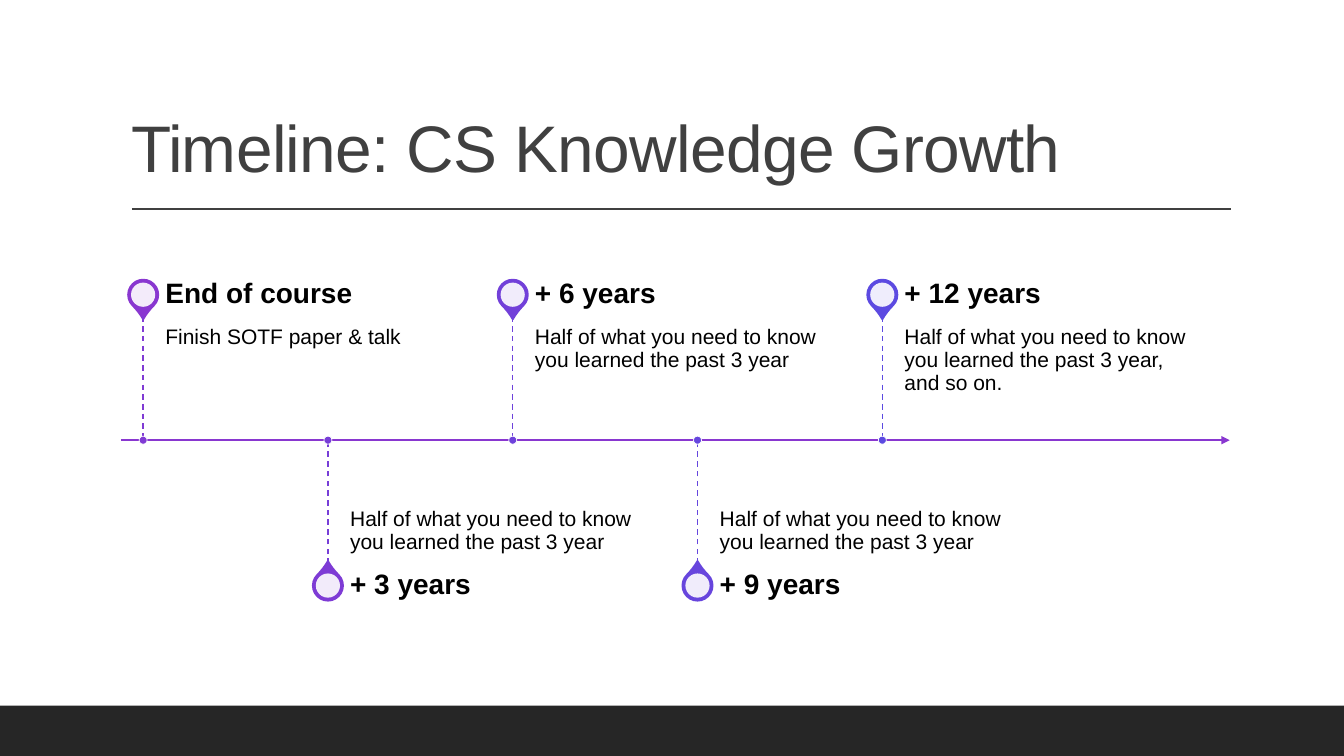
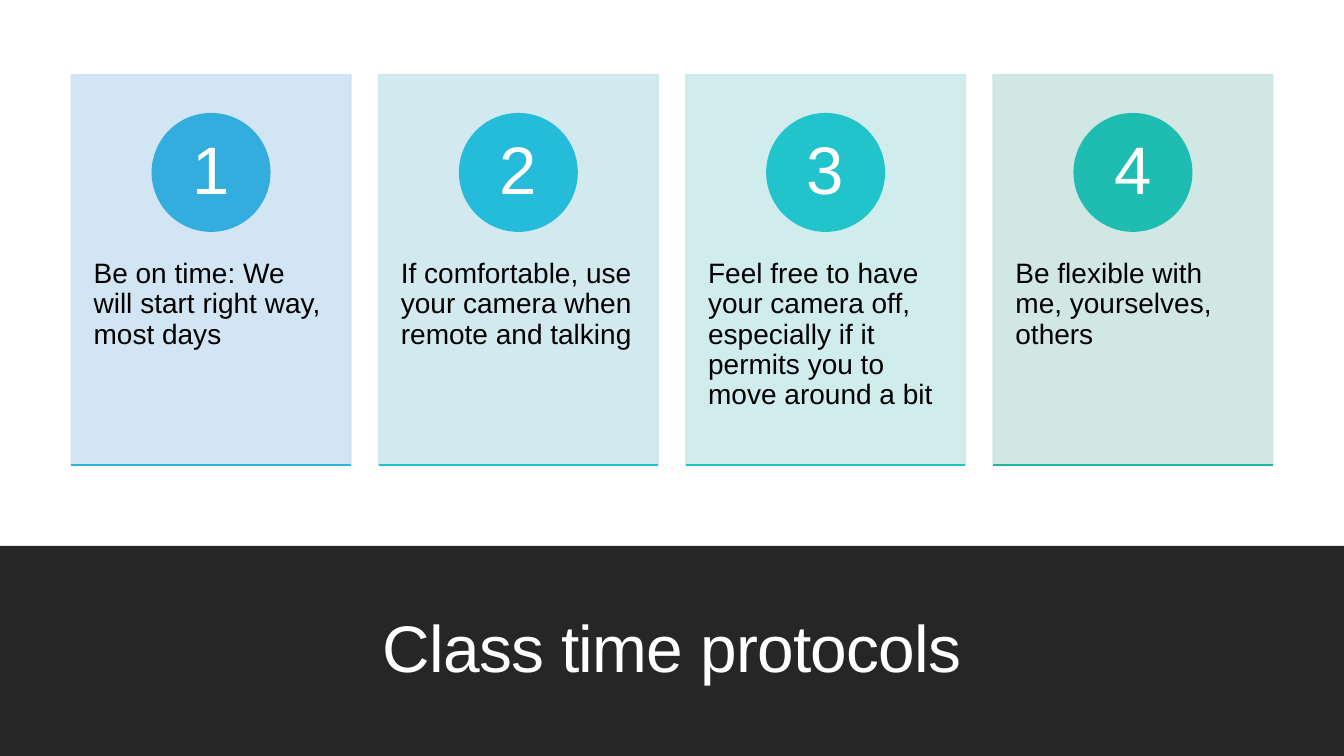
import dataclasses

import pptx
import pptx.dml.color
import pptx.enum.dml
import pptx.enum.shapes
import pptx.enum.text
import pptx.oxml.ns
import pptx.util

SHAPE = pptx.enum.shapes.MSO_SHAPE
ANCHOR = pptx.enum.text.MSO_ANCHOR
ALIGN = pptx.enum.text.PP_ALIGN
FONT = "Arial"
COLUMNS, ROWS = 160, 90
CELL = pptx.util.Inches(7.5) / ROWS
COLORS = {
    "paper": "FFFFFF",
    "ink": "000000",
    "title": "404040",
    "band": "262626",
    "axis": "8937D0",
}
# Heading, text, pin colour, stem colour
STOPS = [
    ("End of course", "Finish SOTF paper & talk", "8937D0", "803BD4"),
    ("+ 3 years", "Half of what you need to know you learned the past 3 year",
     "7E3BD5", "773ED7"),
    ("+ 6 years", "Half of what you need to know you learned the past 3 year",
     "7240D9", "6E42DB"),
    ("+ 9 years", "Half of what you need to know you learned the past 3 year",
     "6745DD", "6546DE"),
    ("+ 12 years",
     "Half of what you need to know you learned the past 3 year, and so on.",
     "5C4AE1", "5C4AE1"),
]
# Text, card colour, circle colour, base line colour
PROTOCOLS = [
    ("Be on time: We will start right way, most days",
     "CEE3F2", "33ADDD", "2CB4DC"),
    ("If comfortable, use your camera when remote and talking",
     "CDE7EE", "24BCDA", "23C0D3"),
    ("Feel free to have your camera off, especially if it permits you to "
     "move around a bit", "CCEAEA", "22C4CB", "21C4C2"),
    ("Be flexible with me, yourselves, others",
     "CCE5E0", "1FBCB1", "1EB5A1"),
]


@dataclasses.dataclass
class Box:
    """A rectangle measured in grid columns and rows."""
    left: float
    top: float
    width: float
    height: float

    def point(self, across, down):
        return self.left + across * self.width, self.top + down * self.height

    def area(self, across, down, width, height):
        return Box(*self.point(across, down),
                   width * self.width, height * self.height)

    def emu(self):
        return [round(side * CELL) for side in
                (self.left, self.top, self.width, self.height)]


def centred(point, size):
    x, y = point
    return Box(x - size / 2, y - size / 2, size, size)


def rgb(color):
    return pptx.dml.color.RGBColor.from_string(color)


def append_tag(parent, tag, **attributes):
    parent.append(parent.makeelement(pptx.oxml.ns.qn(tag), attributes))


def set_opacity(properties, percent):
    for color in properties.iter(pptx.oxml.ns.qn("a:srgbClr")):
        append_tag(color, "a:alpha", val=str(percent * 1000))


def add_shape(slide, kind, box, fill, line=None, weight=1.25, opacity=100):
    shape = slide.shapes.add_shape(kind, *box.emu())
    shape.shadow.inherit = False
    shape.fill.solid()
    shape.fill.fore_color.rgb = rgb(fill)
    if line:
        shape.line.color.rgb = rgb(line)
        shape.line.width = pptx.util.Pt(weight)
    else:
        shape.line.fill.background()
    if opacity < 100:
        set_opacity(shape.element.spPr, opacity)
    return shape


def add_line(slide, start, end, color, weight, dashed=False, arrow=False):
    ends = [round(value * CELL) for value in (*start, *end)]
    line = slide.shapes.add_connector(
        pptx.enum.shapes.MSO_CONNECTOR.STRAIGHT, *ends)
    line.line.color.rgb = rgb(color)
    line.line.width = pptx.util.Pt(weight)
    if dashed:
        line.line.dash_style = pptx.enum.dml.MSO_LINE.DASH
    properties = line.element.spPr
    if arrow:
        outline = properties.find(pptx.oxml.ns.qn("a:ln"))
        append_tag(outline, "a:tailEnd", type="triangle")
    append_tag(properties, "a:effectLst")


def write(shape, text, size, color=COLORS["ink"], bold=False, align=ALIGN.LEFT,
          anchor=ANCHOR.TOP, insets=(0, 0, 0, 0)):
    """Put one paragraph in a shape; insets are in inches, from the left."""
    frame = shape.text_frame
    frame.word_wrap = True
    frame.auto_size = pptx.enum.text.MSO_AUTO_SIZE.NONE
    frame.vertical_anchor = anchor
    (frame.margin_left, frame.margin_top, frame.margin_right,
     frame.margin_bottom) = [pptx.util.Inches(inset) for inset in insets]
    para = frame.paragraphs[0]
    para.alignment = align
    para.line_spacing = 0.9
    span = para.add_run()
    span.text = text
    span.font.name = FONT
    span.font.size = pptx.util.Pt(size)
    span.font.bold = bold
    span.font.color.rgb = rgb(color)


def add_text(slide, box, text, size, **style):
    write(slide.shapes.add_textbox(*box.emu()), text, size, **style)


def add_title(slide, box, text, color, align):
    title = slide.shapes.title
    title.left, title.top, title.width, title.height = box.emu()
    write(title, text, 47, color, align=align, anchor=ANCHOR.BOTTOM,
          insets=(0.1, 0.05, 0.1, 0.05))
    for properties in title.element.iter(pptx.oxml.ns.qn("a:rPr")):
        properties.set("spc", "-50")


def new_slide(deck, band_top):
    """Add a title slide with a dark band from band_top to the bottom."""
    slide = deck.slides.add_slide(deck.slide_layouts.get_by_name("Title Only"))
    band = add_shape(slide, SHAPE.RECTANGLE,
                     Box(0, band_top, COLUMNS, ROWS - band_top),
                     COLORS["band"])
    slide.shapes.title.element.addprevious(band.element)
    return slide


def add_stop(slide, box, index, stop):
    """Draw a stop; even ones stand above the axis, odd ones hang below."""
    heading, text, pin_color, stem_color = stop
    above = index % 2 == 0
    x = 0.02 + index / 6
    text_x, text_width = x + 0.02, 5 / 18
    heading_height, body_height = 0.13, 0.37
    heading_y = 0 if above else 1 - heading_height
    body_y = heading_height if above else 0.5
    stem_y = heading_height if above else heading_y
    pin_center = box.point(x, heading_y + heading_height / 2)

    pin = add_shape(slide, SHAPE.TEAR, centred(pin_center, 3.6),
                    pin_color, pin_color)
    pin.adjustments[0] = 1.15
    pin.rotation = 135 if above else 315
    add_shape(slide, SHAPE.OVAL, centred(pin_center, 2.88),
              COLORS["paper"], opacity=90)
    add_text(slide, box.area(text_x, body_y, text_width, body_height), text, 15,
             anchor=ANCHOR.TOP if above else ANCHOR.BOTTOM,
             insets=(0, 0.1, 0.1, 0.16) if above else (0, 0.16, 0, 0.1))
    add_text(slide, box.area(text_x, heading_y, text_width, heading_height),
             heading, 20, bold=True, anchor=ANCHOR.MIDDLE,
             insets=(0, 0, 0.14, 0))
    add_line(slide, box.point(x, stem_y), box.point(x, 0.5),
             stem_color, 1, dashed=True)
    add_shape(slide, SHAPE.OVAL, centred(box.point(x, 0.5), 0.96),
              stem_color, COLORS["paper"], 0.5)


def add_timeline(slide, box):
    add_line(slide, box.point(0, 0.5), box.point(1, 0.5),
             COLORS["axis"], 1.5, arrow=True)
    for index, stop in enumerate(STOPS):
        add_stop(slide, box, index, stop)


def add_card(slide, box, number, protocol):
    text, card_color, circle_color, base_color = protocol
    add_shape(slide, SHAPE.RECTANGLE, box, card_color, card_color, opacity=90)
    add_text(slide, box.area(0, 0.38, 1, 0.6), text, 20,
             insets=(0.22, 0.36, 0.22, 0.36))
    circle = add_shape(slide, SHAPE.OVAL,
                       centred(box.point(0.5, 0.25), 0.3 * box.height),
                       circle_color, circle_color)
    write(circle, str(number), 48, COLORS["paper"], align=ALIGN.CENTER,
          anchor=ANCHOR.MIDDLE, insets=(0.09, 0.01, 0.09, 0.01))
    add_line(slide, box.point(0, 1), box.point(1, 1), base_color, 1.25)


def add_cards(slide, box):
    """Share the box among the cards, with gaps a tenth of a card wide."""
    gap = 0.1
    count = len(PROTOCOLS)
    width = 1 / (count + gap * (count - 1))
    for index, protocol in enumerate(PROTOCOLS):
        card = box.area(index * width * (1 + gap), 0, width, 1)
        add_card(slide, card, index + 1, protocol)


def build_timeline_slide(deck):
    slide = new_slide(deck, 84)
    add_title(slide, Box(14.4, 3.7, 132, 19.1), "Timeline: CS Knowledge Growth",
              COLORS["title"], ALIGN.LEFT)
    add_line(slide, (15.7, 24.9), (146.5, 24.9), COLORS["title"], 1)
    add_timeline(slide, Box(14.4, 32.5, 132, 39.8))


def build_protocols_slide(deck):
    slide = new_slide(deck, 65)
    add_title(slide, Box(14, 68.9, 132, 13.5), "Class time protocols",
              COLORS["paper"], ALIGN.CENTER)
    add_cards(slide, Box(8.5, 8.9, 143, 46.5))


def main():
    deck = pptx.Presentation()
    deck.slide_width = round(COLUMNS * CELL)
    deck.slide_height = round(ROWS * CELL)
    build_timeline_slide(deck)
    build_protocols_slide(deck)
    deck.save("out.pptx")


if __name__ == "__main__":
    main()
